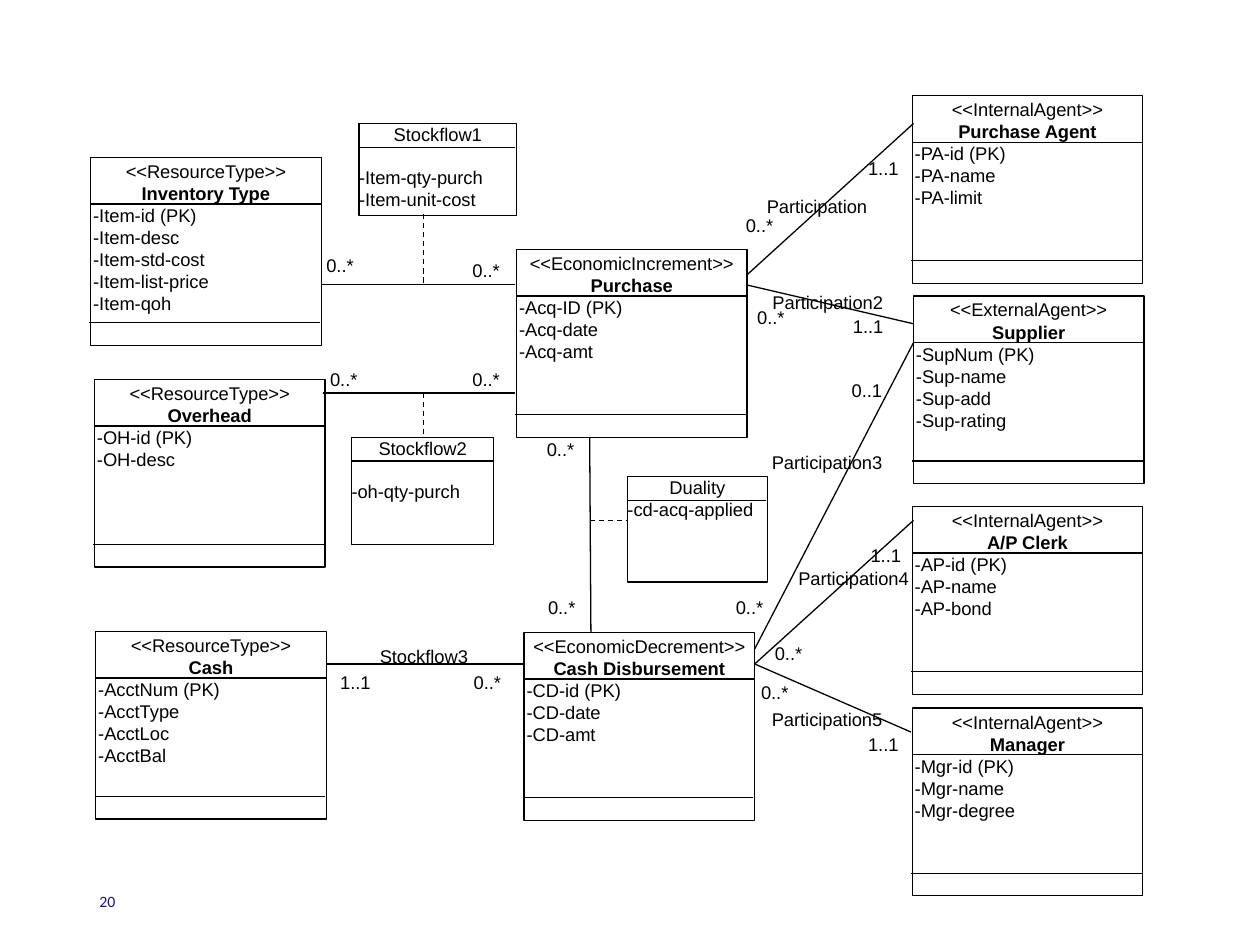
from lxml import etree
from pptx import Presentation
from pptx.dml.color import RGBColor
from pptx.enum import dml, shapes, text
from pptx.oxml import ns
from pptx.util import Inches, Pt

COLORS = {"ink": "000000", "paper": "FFFFFF", "number": "19138D"}
CLASS_WIDTH, CLASS_HEIGHT = 1.83, 1.49

CLASSES = [
    (4.1, 1.98, "EconomicIncrement", "Purchase", ["Acq-ID (PK)", "Acq-date", "Acq-amt"]),
    (4.16, 5.02, "EconomicDecrement", "Cash Disbursement", ["CD-id (PK)", "CD-date", "CD-amt"]),
    (0.75, 3.01, "ResourceType", "Overhead", ["OH-id (PK)", "OH-desc"]),
    (0.72, 1.25, "ResourceType", "Inventory Type",
     ["Item-id (PK)", "Item-desc", "Item-std-cost", "Item-list-price", "Item-qoh"]),
    (0.76, 5.01, "ResourceType", "Cash", ["AcctNum (PK)", "AcctType", "AcctLoc", "AcctBal"]),
    (7.24, 0.76, "InternalAgent", "Purchase Agent", ["PA-id (PK)", "PA-name", "PA-limit"]),
    (7.25, 2.35, "ExternalAgent", "Supplier",
     ["SupNum (PK)", "Sup-name", "Sup-add", "Sup-rating"]),
    (7.24, 4.02, "InternalAgent", "A/P Clerk", ["AP-id (PK)", "AP-name", "AP-bond"]),
    (7.24, 5.62, "InternalAgent", "Manager", ["Mgr-id (PK)", "Mgr-name", "Mgr-degree"]),
]
ASSOCIATION_CLASSES = [
    (2.85, 0.98, 1.25, 0.73, "Stockflow1", ["Item-qty-purch", "Item-unit-cost"], 12),
    (2.79, 3.47, 1.13, 0.85, "Stockflow2", ["oh-qty-purch"], 12),
    (4.98, 3.78, 1.11, 0.84, "Duality", ["cd-acq-applied"], 0),
]
MULTIPLICITIES = {
    "1..1": [(6.89, 1.25), (6.77, 2.5), (6.91, 4.32), (2.7, 5.33), (6.89, 5.82)],
    "0..1": [(6.76, 3.01)],
    "0..*": [(6.04, 5.41), (6.15, 5.1), (5.84, 4.73), (5.92, 1.7), (4.35, 4.73),
             (3.75, 2.92), (2.62, 2.92), (3.75, 2.06), (2.59, 2.02), (3.76, 5.33),
             (4.34, 3.48), (6.01, 2.43)],
}
ASSOCIATIONS = [
    (2.59, 5.27, 4.16, 5.27), (5.93, 2.18, 7.25, 0.98), (5.92, 2.26, 7.25, 2.57),
    (5.99, 5.15, 7.25, 2.72), (5.99, 5.27, 7.25, 4.13), (5.99, 5.27, 7.23, 5.81),
    (2.55, 2.26, 4.09, 2.26), (2.56, 3.12, 4.09, 3.12),
]
DUALITY_LINE = (4.69, 5.02, 4.68, 3.47)
DASHED_LINKS = [(3.36, 1.7, 3.36, 2.26), (3.36, 3.12, 3.36, 3.47), (4.68, 4.13, 4.98, 4.13)]
NAMES = [
    (2.96, 5.12, 0.81, "Stockflow3"), (6.08, 1.55, 0.81, "Participation"),
    (6.08, 2.31, 0.98, "Participation2"), (6.08, 3.58, 0.97, "Participation3"),
    (6.29, 4.5, 0.97, "Participation4"), (6.08, 5.62, 0.97, "Participation5"),
]


def color(name):
    """Return the named colour."""
    return RGBColor.from_string(COLORS[name])


def set_frame(shape, inset=0):
    """Prepare a wrapped, top-anchored text frame with equal insets."""
    frame = shape.text_frame
    frame.word_wrap = True
    frame.vertical_anchor = text.MSO_ANCHOR.TOP
    frame.margin_left = frame.margin_right = Inches(inset)
    frame.margin_top = frame.margin_bottom = Inches(inset)
    return frame


def write(frame, words, centered=False, bold=False, before=0):
    """Write one paragraph, using the empty first one if there is one."""
    first = frame.paragraphs[0]
    paragraph = frame.add_paragraph() if first.runs else first
    paragraph.alignment = text.PP_ALIGN.CENTER if centered else text.PP_ALIGN.LEFT
    if before:
        paragraph.space_before = Pt(before)
    run = paragraph.add_run()
    run.text = words
    run.font.size, run.font.name, run.font.bold = Pt(10.5), "Arial", bold
    run.font.color.rgb = color("ink")


def add_line(slide, x1, y1, x2, y2, dashed=False):
    """Draw a thin straight line between two points."""
    line = slide.shapes.add_connector(
        shapes.MSO_CONNECTOR.STRAIGHT, Inches(x1), Inches(y1), Inches(x2), Inches(y2))
    line.line.color.rgb = color("ink")
    line.line.width = Pt(0.75)
    if dashed:
        line.line.dash_style = dml.MSO_LINE.DASH
    etree.SubElement(line._element.spPr, ns.qn("a:effectLst"))


def add_box(slide, left, top, width, height, filled=True, outlined=True):
    """Draw a plain rectangle."""
    box = slide.shapes.add_shape(
        shapes.MSO_SHAPE.RECTANGLE, Inches(left), Inches(top), Inches(width), Inches(height))
    box.shadow.inherit = False
    if filled:
        box.fill.solid()
        box.fill.fore_color.rgb = color("paper")
    else:
        box.fill.background()
    if outlined:
        box.line.color.rgb = color("ink")
        box.line.width = Pt(0.75)
    else:
        box.line.fill.background()
    return box


def add_class(slide, left, top, stereotype, name, attributes):
    """Draw a class with its title, attributes and empty operations compartment."""
    frame = set_frame(add_box(slide, left, top, CLASS_WIDTH, CLASS_HEIGHT), 0.02)
    write(frame, f"<<{stereotype}>>", centered=True)
    write(frame, name, centered=True, bold=True)
    for attribute in attributes:
        write(frame, f"-{attribute}")
    for shift, drop in ((0, 0.37), (-0.01, 1.31)):
        start = left + shift
        add_line(slide, start, top + drop, start + CLASS_WIDTH, top + drop)


def add_association_class(slide, left, top, width, height, name, attributes, gap):
    """Draw an association class with a ruled-off title."""
    add_line(slide, left, top + 0.19, left + width - 0.01, top + 0.19)
    frame = set_frame(add_box(slide, left, top, width, height, filled=False))
    write(frame, name, centered=True)
    for index, attribute in enumerate(attributes):
        write(frame, f"-{attribute}", before=0 if index else gap)


def add_multiplicity(slide, left, top, words):
    """Place a multiplicity beside the end of an association."""
    write(set_frame(add_box(slide, left, top, 0.34, 0.29, outlined=False)), words)


def add_name(slide, left, top, width, words):
    """Place the name of an association."""
    box = slide.shapes.add_textbox(Inches(left), Inches(top), Inches(width), Inches(0.26))
    write(set_frame(box), words, centered=True)


def add_slide_number(slide, left, top, width, height):
    """Place the slide number."""
    box = slide.shapes.add_textbox(Inches(left), Inches(top), Inches(width), Inches(height))
    box.text_frame.word_wrap = True
    box.text_frame.vertical_anchor = text.MSO_ANCHOR.MIDDLE
    run = box.text_frame.paragraphs[0].add_run()
    run.text = "20"
    run.font.size, run.font.name = Pt(9), "Calibri"
    run.font.color.rgb = color("number")


def add_diagram(slide):
    """Draw the class diagram from back to front."""
    for words, places in MULTIPLICITIES.items():
        for left, top in places:
            add_multiplicity(slide, left, top, words)
    add_line(slide, *DUALITY_LINE)
    for entry in CLASSES:
        add_class(slide, *entry)
    for points in ASSOCIATIONS:
        add_line(slide, *points)
    for entry in NAMES:
        add_name(slide, *entry)
    for entry in ASSOCIATION_CLASSES:
        add_association_class(slide, *entry)
    for points in DASHED_LINKS:
        add_line(slide, *points, dashed=True)


def main():
    """Build and save the presentation."""
    presentation = Presentation()
    presentation.slide_width, presentation.slide_height = Inches(10), Inches(7.5)
    slide = presentation.slides.add_slide(presentation.slide_layouts[6])
    add_slide_number(slide, 0.69, 6.95, 2.25, 0.4)
    add_diagram(slide)
    presentation.save("out.pptx")


if __name__ == "__main__":
    main()
